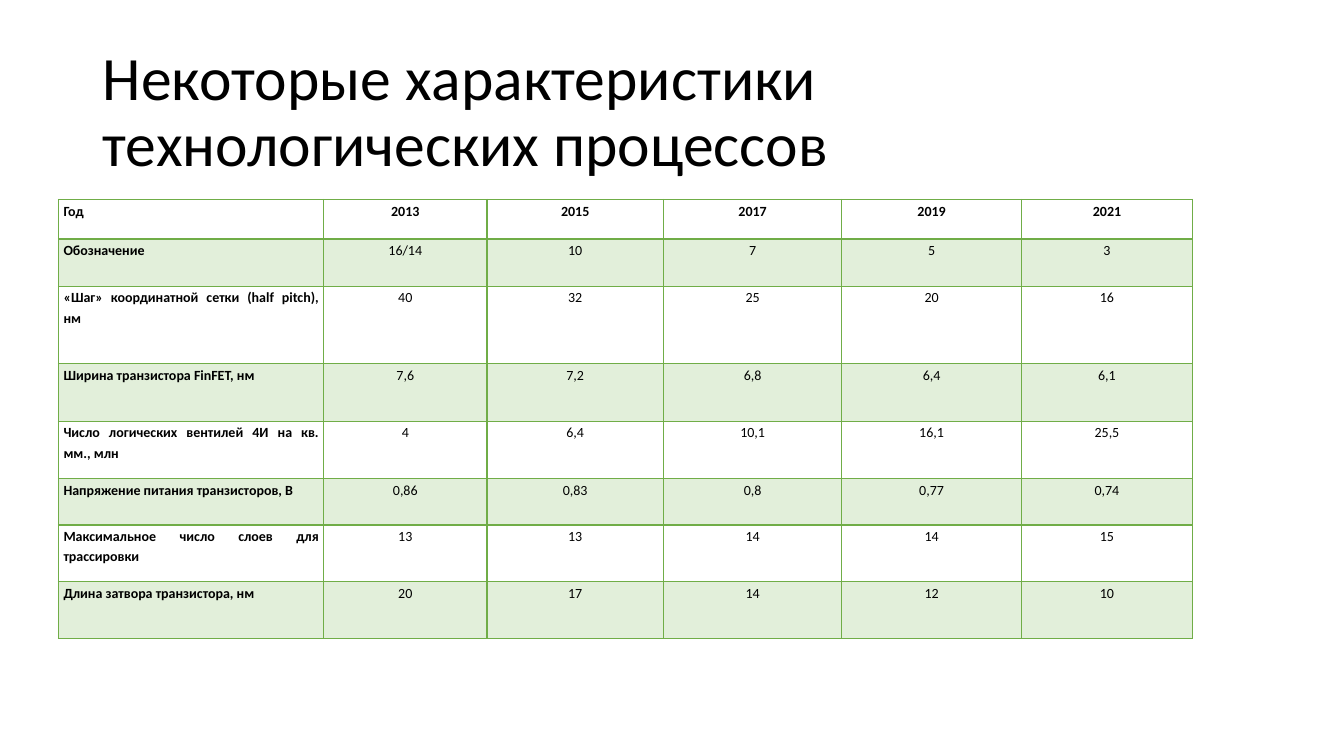
from lxml.etree import SubElement
from pptx import Presentation
from pptx.dml.color import RGBColor
from pptx.enum.text import MSO_ANCHOR, PP_ALIGN
from pptx.oxml.ns import qn
from pptx.util import Inches, Pt

GREEN, PALE, BLACK = "70AD47", "E2EFDA", "000000"


def tint(color, code):
    color.rgb = RGBColor.from_string(code)


def style(par, size, bold, align, space):
    par.alignment, par.line_spacing = align, space
    look = {"name": "Calibri", "size": Pt(size), "bold": bold}
    for key, val in look.items():
        setattr(par.font, key, val)
    tint(par.font.color, BLACK)


# Slide
deck = Presentation()
deck.slide_width, deck.slide_height = Inches(13.33), Inches(7.5)
slide = deck.slides.add_slide(deck.slide_layouts[6])

# Title
box = slide.shapes.add_textbox(Inches(0.92), Inches(0.4), Inches(11.5), Inches(1.45))
frame = box.text_frame
frame.word_wrap = True
frame.vertical_anchor = MSO_ANCHOR.MIDDLE
frame.text = "Некоторые характеристики технологических процессов"
style(frame.paragraphs[0], 44, False, PP_ALIGN.LEFT, 0.9)

# Table data: row height, then cells
rows = [
    (0.39, "Год", "2013", "2015", "2017", "2019", "2021"),
    (0.47, "Обозначение", "16/14", "10", "7", "5", "3"),
    (0.77, "«Шаг» координатной сетки (half pitch), нм", "40", "32", "25", "20", "16"),
    (0.57, "Ширина транзистора FinFET, нм", "7,6", "7,2", "6,8", "6,4", "6,1"),
    (0.57, "Число логических вентилей 4И на кв. мм., млн", "4", "6,4", "10,1", "16,1", "25,5"),
    (0.46, "Напряжение питания транзисторов, В", "0,86", "0,83", "0,8", "0,77", "0,74"),
    (0.56, "Максимальное число слоев для трассировки", "13", "13", "14", "14", "15"),
    (0.57, "Длина затвора транзистора, нм", "20", "17", "14", "12", "10"),
]
cols = [2.63, 1.62, 1.75, 1.77, 1.78, 1.7]
pad = {"margin_left": 0.05, "margin_right": 0.05, "margin_top": 0, "margin_bottom": 0}

# Table grid
table = slide.shapes.add_table(
    len(rows), len(cols), Inches(0.58), Inches(1.98),
    Inches(sum(cols)), Inches(sum(row[0] for row in rows))).table
table.first_row = table.horz_banding = False
for c, width in enumerate(cols):
    table.columns[c].width = Inches(width)

# Table cells
for r, (height, *texts) in enumerate(rows):
    table.rows[r].height = Inches(height)
    for c, text in enumerate(texts):
        cell = table.cell(r, c)
        cell.text = text
        for key, val in pad.items():
            setattr(cell, key, Inches(val))
        align = PP_ALIGN.CENTER if c else PP_ALIGN.JUSTIFY
        style(cell.text_frame.paragraphs[0], 10, r == 0 or c == 0, align, 1.2)

        # Borders: a double rule under the header row
        props = cell._tc.get_or_add_tcPr()
        for side in "LRTB":
            thick = (r, side) in ((0, "B"), (1, "T"))
            line = SubElement(props, qn("a:ln" + side), w=str(Pt(2 if thick else 1)))
            SubElement(SubElement(line, qn("a:solidFill")), qn("a:srgbClr"), val=GREEN)

        # Fill: every second row is banded
        if r % 2:
            cell.fill.solid()
            tint(cell.fill.fore_color, PALE)
        else:
            cell.fill.background()

deck.save("out.pptx")
